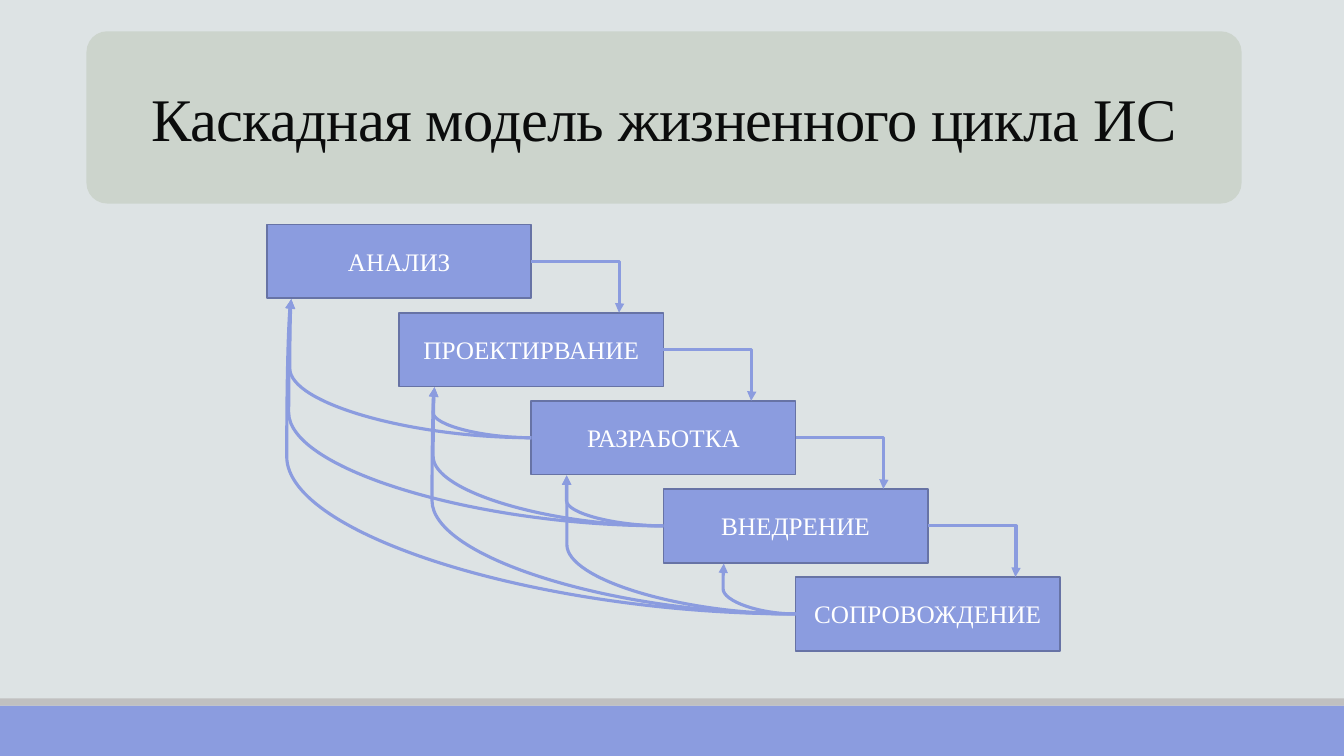
import pptx
import pptx.dml.color
import pptx.enum.shapes
import pptx.enum.text
import pptx.oxml
import pptx.oxml.ns
import pptx.util
from pptx.util import Cm

SHAPE = pptx.enum.shapes.MSO_SHAPE
CONNECTOR = pptx.enum.shapes.MSO_CONNECTOR
ANCHOR = pptx.enum.text.MSO_ANCHOR
FONT = "Times New Roman"
BLUE = "8B9CDF"

STAGES = ["АНАЛИЗ", "ПРОЕКТИРВАНИЕ", "РАЗРАБОТКА", "ВНЕДРЕНИЕ", "СОПРОВОЖДЕНИЕ"]
STAGE_LEFT, STAGE_TOP = 6.73, 5.66
STEP_X, STEP_Y = 3.33, 2.22
STAGE_W, STAGE_H = 6.66, 1.86

# Where feedback arrows enter the bottom edge of each of the first four stages
RETURN_X = [7.34, 10.95, 14.28, 18.24]
# (from stage, to stage, bend as a percentage of the width)
RETURNS = [
    (4, 3, 101), (4, 2, 99.9), (4, 1, 100.7), (4, 0, 100.9),
    (3, 2, 100.2), (3, 1, 100.6), (3, 0, 100.7),
    (2, 1, 101.5), (2, 0, 100.6),
]


def rgb(color):
    return pptx.dml.color.RGBColor.from_string(color)


def add_box(slide, kind, left, top, width, height, fill, line=None):
    sp = slide.shapes.add_shape(kind, Cm(left), Cm(top), Cm(width), Cm(height))
    sp.shadow.inherit = False
    sp.fill.solid()
    sp.fill.fore_color.rgb = rgb(fill)
    if line:
        sp.line.color.rgb = rgb(line)
        sp.line.width = pptx.util.Pt(1.25)
    else:
        sp.line.fill.background()
    return sp


def write(sp, text, size, color, anchor):
    tf = sp.text_frame
    tf.word_wrap = True
    tf.vertical_anchor = anchor
    p = tf.paragraphs[0]
    p.alignment = pptx.enum.text.PP_ALIGN.CENTER
    r = p.add_run()
    r.text = text
    r.font.name = FONT
    r.font.size = pptx.util.Pt(size)
    r.font.color.rgb = rgb(color)
    return p, r


def add_title(slide, text):
    sp = slide.shapes.add_textbox(Cm(2.18), Cm(1.88), Cm(29.11), Cm(2.13))
    p, r = write(sp, text, 43.2, "0B0C0C", ANCHOR.BOTTOM)
    p.line_spacing = 0.85
    r.font._element.set("spc", "-50")


def add_arrow(slide, kind, left, top, right, bottom, bend, turned=False):
    """Arrow from top left to bottom right, or the reverse when turned."""
    cxn = slide.shapes.add_connector(kind, Cm(left), Cm(top), Cm(right), Cm(bottom))
    cxn.line.color.rgb = rgb(BLUE)
    cxn.line.width = pptx.util.Pt(2.25)
    props = cxn._element.spPr
    if turned:
        props.xfrm.set("rot", "10800000")
    guides = props.prstGeom.get_or_add_avLst()
    guide = pptx.oxml.parse_xml(
        f'<a:gd {pptx.oxml.ns.nsdecls("a")} name="adj1" fmla="val {round(bend * 1000)}"/>')
    guides.append(guide)
    head = pptx.oxml.parse_xml(
        f'<a:tailEnd {pptx.oxml.ns.nsdecls("a")} type="triangle"/>')
    cxn.line._get_or_add_ln().append(head)
    props.append(pptx.oxml.parse_xml(f'<a:effectLst {pptx.oxml.ns.nsdecls("a")}/>'))


def stage_corner(i):
    return STAGE_LEFT + i * STEP_X, STAGE_TOP + i * STEP_Y


def add_stage(slide, i, text):
    sp = add_box(slide, SHAPE.RECTANGLE, *stage_corner(i), STAGE_W, STAGE_H, BLUE, "6773A5")
    write(sp, text, 18, "FFFFFF", ANCHOR.MIDDLE)


def add_forward_arrow(slide, i):
    left, top = stage_corner(i)
    right = left + STAGE_W
    add_arrow(slide, CONNECTOR.ELBOW, right, top + STAGE_H / 2,
              right + 2.21, top + STEP_Y, 100.7)


def add_return_arrow(slide, source, target, bend):
    left, top = stage_corner(source)
    bottom = stage_corner(target)[1] + STAGE_H
    add_arrow(slide, CONNECTOR.CURVE, RETURN_X[target], bottom + 0.02,
              left, top + STAGE_H / 2, bend, turned=True)


def main():
    prs = pptx.Presentation()
    prs.slide_width, prs.slide_height = Cm(33.87), Cm(19.05)
    slide = prs.slides.add_slide(prs.slide_layouts[6])
    slide.background.fill.solid()
    slide.background.fill.fore_color.rgb = rgb("DDE3E4")

    add_box(slide, SHAPE.RECTANGLE, 0, 17.78, 33.87, 1.27, BLUE)
    add_box(slide, SHAPE.RECTANGLE, 0, 17.6, 33.87, 0.18, "C0C0C0")
    panel = add_box(slide, SHAPE.ROUNDED_RECTANGLE, 2.18, 0.79, 29.11, 4.34, "CCD4CC")
    panel.adjustments[0] = 0.12
    add_title(slide, "Каскадная модель жизненного цикла ИС")

    for i, text in enumerate(STAGES):
        add_stage(slide, i, text)
    for i in range(len(STAGES) - 1):
        add_forward_arrow(slide, i)
    for source, target, bend in RETURNS:
        add_return_arrow(slide, source, target, bend)

    prs.save("out.pptx")


if __name__ == "__main__":
    main()
